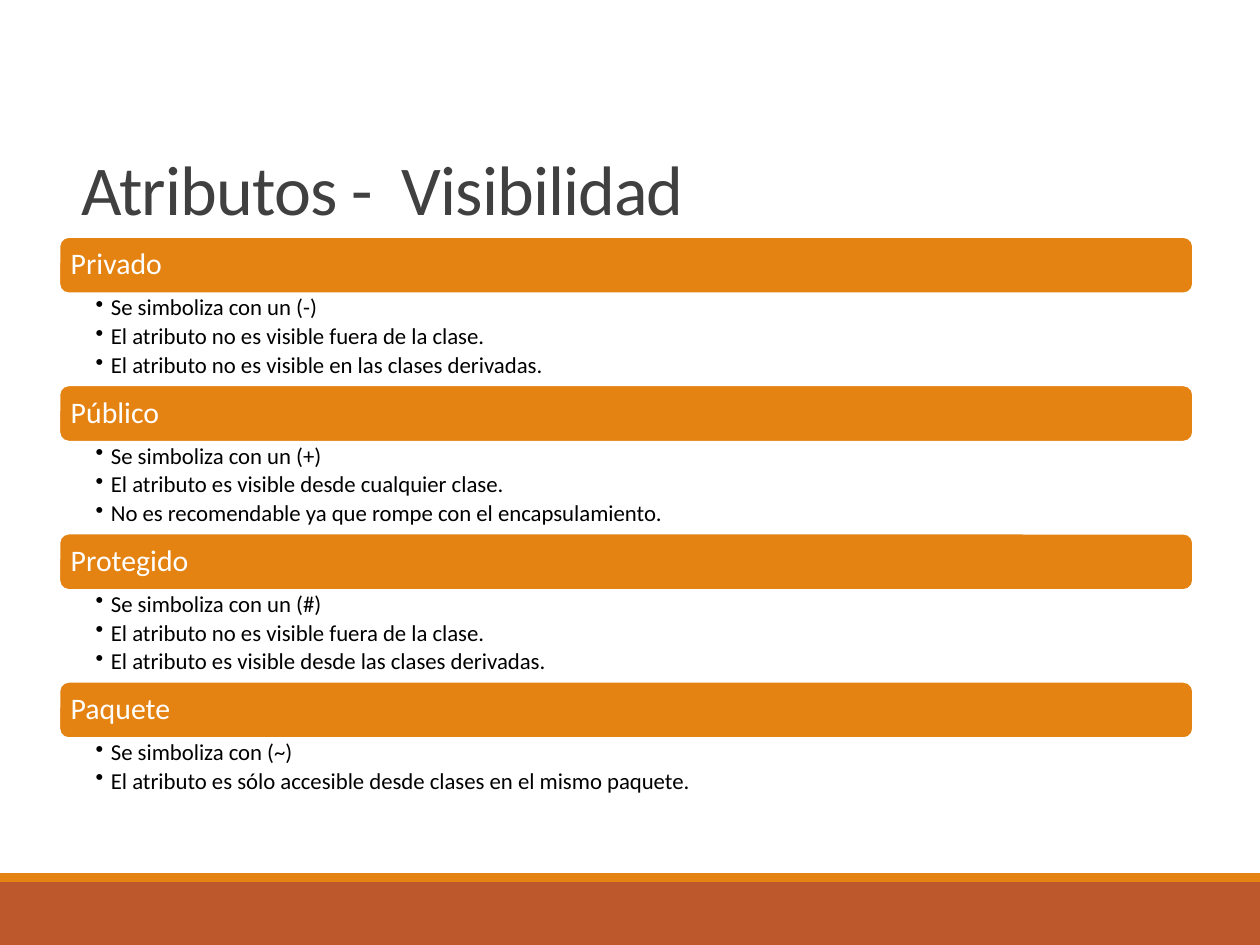
from dataclasses import dataclass

from lxml import etree
from pptx import Presentation
from pptx.dml.color import RGBColor
from pptx.enum.shapes import MSO_SHAPE
from pptx.enum.text import MSO_ANCHOR, PP_ALIGN
from pptx.oxml.ns import qn
from pptx.util import Inches, Pt

RECT = MSO_SHAPE.RECTANGLE
ROUND = MSO_SHAPE.ROUNDED_RECTANGLE
TOP, MIDDLE, BOTTOM = MSO_ANCHOR.TOP, MSO_ANCHOR.MIDDLE, MSO_ANCHOR.BOTTOM
LEFT = PP_ALIGN.LEFT

FONT = "Calibri"
ORANGE, RUST, WHITE = "E48312", "BD582C", "FFFFFF"
DARK, BLACK = "404040", "000000"

# Sections are spread evenly between the first and the last header
LIST_X, LIST_W = 0.47, 9
FIRST_Y, LAST_Y = 1.88, 5.41
HEADER_H = 0.45
BULLET_LINE = 0.24


@dataclass
class Section:
    title: str
    items: list[str]


SECTIONS = [
    Section("Privado", [
        "Se simboliza con un (-)",
        "El atributo no es visible fuera de la clase.",
        "El atributo no es visible en las clases derivadas.",
    ]),
    Section("Público", [
        "Se simboliza con un (+)",
        "El atributo es visible desde cualquier clase.",
        "No es recomendable ya que rompe con el encapsulamiento.",
    ]),
    Section("Protegido", [
        "Se simboliza con un (#)",
        "El atributo no es visible fuera de la clase.",
        "El atributo es visible desde las clases derivadas.",
    ]),
    Section("Paquete", [
        "Se simboliza con (~)",
        "El atributo es sólo accesible desde clases en el mismo paquete.",
    ]),
]


def rgb(color: str) -> RGBColor:
    return RGBColor.from_string(color)


def add_box(slide, kind, x: float, y: float, w: float, h: float,
            fill: str, line: str | None = None):
    sp = slide.shapes.add_shape(kind, Inches(x), Inches(y), Inches(w), Inches(h))
    sp.shadow.inherit = False
    sp.fill.solid()
    sp.fill.fore_color.rgb = rgb(fill)
    if line:
        sp.line.color.rgb = rgb(line)
        sp.line.width = Pt(1.25)
    else:
        sp.line.fill.background()
    return sp


def add_textbox(slide, x: float, y: float, w: float, h: float):
    return slide.shapes.add_textbox(Inches(x), Inches(y), Inches(w), Inches(h))


def add_bullet(p, indent: float) -> None:
    pPr = p._p.get_or_add_pPr()
    pPr.set("marL", str(Inches(indent)))
    pPr.set("indent", str(-Inches(indent)))
    etree.SubElement(pPr, qn("a:buChar")).set("char", "•")


def write(sp, lines: list[str], *, size: float, color: str, anchor=TOP,
          insets=(0.1, 0.05, 0.1, 0.05), leading: float = 0.9,
          after: float = 0, tracking: float = 0, bullets: bool = False) -> None:
    tf = sp.text_frame
    tf.word_wrap = True
    tf.vertical_anchor = anchor
    tf.margin_left, tf.margin_top, tf.margin_right, tf.margin_bottom = map(Inches, insets)
    for i, line in enumerate(lines):
        p = tf.add_paragraph() if i else tf.paragraphs[0]
        p.alignment = LEFT
        p.line_spacing = leading
        p.space_after = Pt(after)
        if bullets:
            add_bullet(p, 0.12)
        r = p.add_run()
        r.text = line
        r.font.name = FONT
        r.font.size = Pt(size)
        r.font.color.rgb = rgb(color)
        if tracking:
            r._r.get_or_add_rPr().set("spc", str(int(tracking * 100)))


def add_section(slide, section: Section, y: float) -> None:
    header = add_box(slide, ROUND, LIST_X, y, LIST_W, HEADER_H, ORANGE, WHITE)
    write(header, [section.title], size=17, color=WHITE, anchor=MIDDLE, insets=(0.07,) * 4)
    body = add_textbox(slide, LIST_X, y + HEADER_H, LIST_W, BULLET_LINE * len(section.items))
    write(body, section.items, size=13, color=BLACK, insets=(0.29, 0.02, 0.13, 0.02),
          after=2.4, bullets=True)


def main() -> None:
    prs = Presentation()
    prs.slide_width, prs.slide_height = Inches(10), Inches(7.5)
    slide = prs.slides.add_slide(prs.slide_layouts[6])

    # Footer bands
    add_box(slide, RECT, 0, 7, 10, 0.5, RUST)
    add_box(slide, RECT, 0, 6.93, 10, 0.07, ORANGE)

    # Title
    title = add_textbox(slide, 0.55, 0.7, 9, 1.17)
    write(title, ["Atributos -  Visibilidad"], size=40, color=DARK, anchor=BOTTOM,
          leading=0.85, tracking=-0.5)

    # Visibility sections
    pitch = (LAST_Y - FIRST_Y) / (len(SECTIONS) - 1)
    for i, section in enumerate(SECTIONS):
        add_section(slide, section, FIRST_Y + i * pitch)

    prs.save("out.pptx")


if __name__ == "__main__":
    main()
